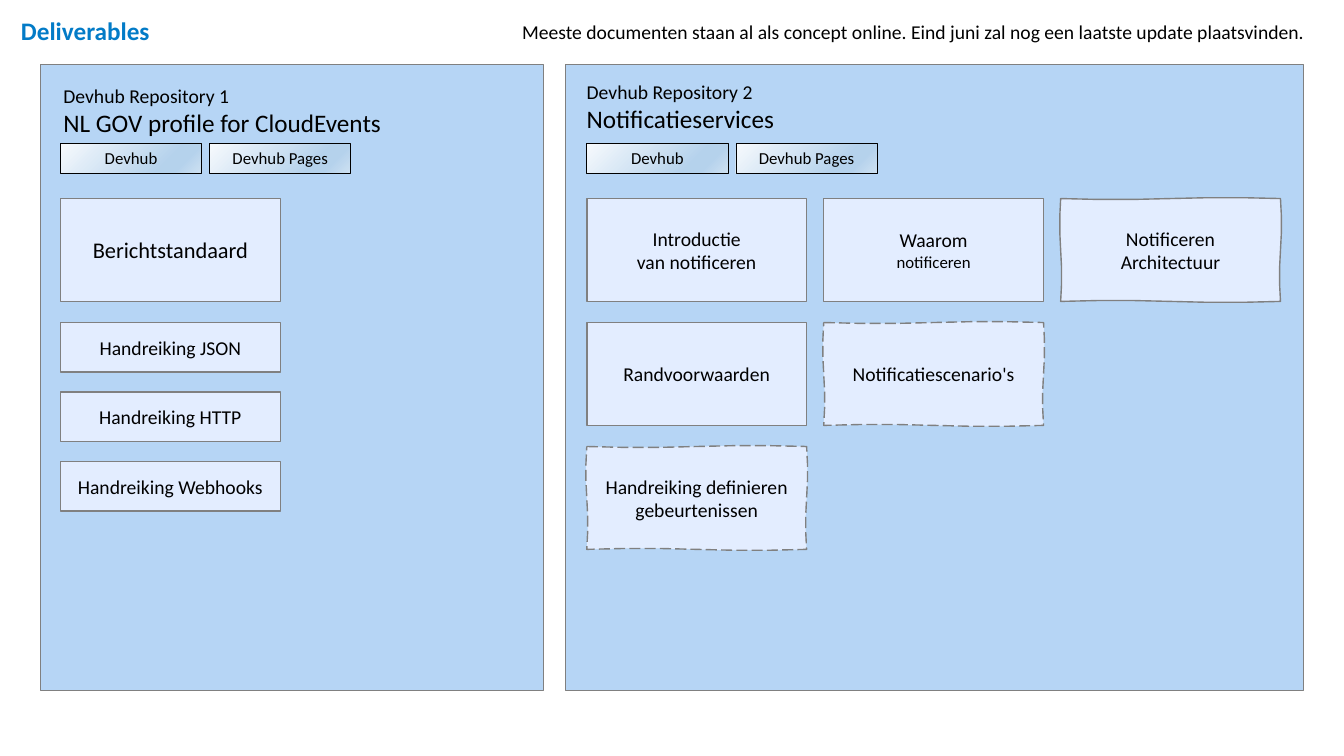
import math

from lxml import etree
from pptx import Presentation
from pptx.dml.color import RGBColor
from pptx.enum.dml import MSO_LINE
from pptx.enum.shapes import MSO_SHAPE
from pptx.enum.text import MSO_ANCHOR, MSO_AUTO_SIZE, PP_ALIGN
from pptx.oxml.ns import qn
from pptx.util import Inches, Pt

RECTANGLE = MSO_SHAPE.RECTANGLE
LONG_DASH = MSO_LINE.LONG_DASH
CENTER, LEFT = PP_ALIGN.CENTER, PP_ALIGN.LEFT
MIDDLE, TOP = MSO_ANCHOR.MIDDLE, MSO_ANCHOR.TOP
FIT_SHAPE = MSO_AUTO_SIZE.SHAPE_TO_FIT_TEXT

FONT = "Calibri"
COLORS = {"title": "027BC7", "text": "000000", "panel": "B6D5F5",
          "card": "E3EDFF", "border": "808080", "button_border": "000000"}
BUTTON_STOPS = [(0, "F7FAFD"), (74, "B5D2EC"), (83, "B5D2EC"), (100, "CEE1F2")]

# Text lines are (text, size in points)
TITLE = [("Deliverables", 18)]
NOTE = [("Meeste documenten staan al als concept online. "
         "Eind juni zal nog een laatste update plaatsvinden.", 14)]
BUTTONS = ["Devhub", "Devhub Pages"]

# Cards are (column, row, style, lines); guides are the short cards below them
REPOSITORIES = [
    {"panel": (0.4, 4.99), "grid_left": 0.6, "heading": (0.53, 0.78, 3.39),
     "lines": [("Devhub Repository 1", 14), ("NL GOV profile for CloudEvents", 18)],
     "cards": [(0, 0, "solid", [("Berichtstandaard", 16)])],
     "guides": ["Handreiking JSON", "Handreiking HTTP", "Handreiking Webhooks"]},
    {"panel": (5.61, 7.32), "grid_left": 5.82, "heading": (5.72, 0.74, 2.08),
     "lines": [("Devhub Repository 2", 14), ("Notificatieservices", 18)],
     "cards": [
         (0, 0, "solid", [("Introductie", 14), ("van notificeren", 14)]),
         (1, 0, "solid", [("Waarom", 14), ("notificeren", 12)]),
         (2, 0, "sketch", [("Notificeren", 14), ("Architectuur", 14)]),
         (0, 1, "solid", [("Randvoorwaarden", 14)]),
         (1, 1, "dashed sketch", [("Notificatiescenario's", 14)]),
         (0, 2, "dashed sketch", [("Handreiking definieren gebeurtenissen", 14)])],
     "guides": []},
]

PANEL_TOP, PANEL_HEIGHT = 0.64, 6.21
HEADING_HEIGHT = 0.64
BUTTON_TOP, BUTTON_WIDTH, BUTTON_HEIGHT, BUTTON_PITCH = 1.42, 1.4, 0.3, 1.48
GRID_TOP, COLUMN_PITCH, ROW_PITCH = 1.97, 2.35, 1.23
CARD_WIDTH, CARD_HEIGHT = 2.18, 1.02
GUIDE_HEIGHT, GUIDE_PITCH = 0.49, 0.69
WOBBLE, STEPS = 0.01, 6


def write(shape, lines, align=CENTER, anchor=MIDDLE, color="text", bold=False):
    frame = shape.text_frame
    frame.vertical_anchor = anchor
    for index, (text, size) in enumerate(lines):
        para = frame.add_paragraph() if index else frame.paragraphs[0]
        para.text = text
        para.alignment = align
        para.font.name = FONT
        para.font.size = Pt(size)
        para.font.bold = bold
        para.font.color.rgb = RGBColor.from_string(COLORS[color])


def add_label(page, left, top, width, height, lines, **style):
    box = page.shapes.add_textbox(*map(Inches, (left, top, width, height)))
    box.text_frame.word_wrap = False
    box.text_frame.auto_size = FIT_SHAPE
    write(box, lines, align=LEFT, anchor=TOP, **style)


def paint(shape, fill, border="border", width=1):
    shape.shadow.inherit = False
    if fill:
        shape.fill.solid()
        shape.fill.fore_color.rgb = RGBColor.from_string(COLORS[fill])
    shape.line.color.rgb = RGBColor.from_string(COLORS[border])
    shape.line.width = Pt(width)


def add_box(page, left, top, width, height, fill="card"):
    box = page.shapes.add_shape(RECTANGLE, *map(Inches, (left, top, width, height)))
    paint(box, fill)
    return box


def add_sketch(page, left, top, width, height):
    """Draw a rectangle with gently waving sides, as if by hand."""
    corners = [(left, top), (left + width, top),
               (left + width, top + height), (left, top + height)]
    points = []
    for side, (x, y) in enumerate(corners):
        next_x, next_y = corners[(side + 1) % 4]
        upright = side % 2
        for step in range(STEPS):
            share = step / STEPS
            wave = WOBBLE * math.sin(share * math.tau)
            points.append((Inches(x + (next_x - x) * share + wave * upright),
                           Inches(y + (next_y - y) * share + wave * (1 - upright))))
    builder = page.shapes.build_freeform(*points[0])
    builder.add_line_segments(points[1:], close=True)
    sketch = builder.convert_to_shape()
    paint(sketch, "card")
    return sketch


def add_button(page, left, label):
    button = page.shapes.add_shape(
        RECTANGLE, *map(Inches, (left, BUTTON_TOP, BUTTON_WIDTH, BUTTON_HEIGHT)))
    paint(button, None, "button_border", 0.5)
    button.fill.gradient()
    button.fill.gradient_angle = 315
    stops = button._element.spPr.find(qn("a:gradFill")).find(qn("a:gsLst"))
    for stop in list(stops):
        stops.remove(stop)
    for percent, color in BUTTON_STOPS:
        stop = etree.SubElement(stops, qn("a:gs"), pos=str(percent * 1000))
        etree.SubElement(stop, qn("a:srgbClr"), val=color)
    write(button, [(label, 12)])


def add_repository(page, repository):
    panel_left, panel_width = repository["panel"]
    grid_left = repository["grid_left"]
    add_box(page, panel_left, PANEL_TOP, panel_width, PANEL_HEIGHT, "panel")
    add_label(page, *repository["heading"], HEADING_HEIGHT, repository["lines"])
    for index, label in enumerate(BUTTONS):
        add_button(page, grid_left + index * BUTTON_PITCH, label)
    for column, row, style, lines in repository["cards"]:
        draw = add_box if style == "solid" else add_sketch
        card = draw(page, grid_left + column * COLUMN_PITCH,
                    GRID_TOP + row * ROW_PITCH, CARD_WIDTH, CARD_HEIGHT)
        if style == "dashed sketch":
            card.line.dash_style = LONG_DASH
        card.text_frame.word_wrap = True
        write(card, lines)
    for index, label in enumerate(repository["guides"]):
        top = GRID_TOP + ROW_PITCH + index * GUIDE_PITCH
        write(add_box(page, grid_left, top, CARD_WIDTH, GUIDE_HEIGHT), [(label, 14)])


def main():
    deck = Presentation()
    deck.slide_width, deck.slide_height = Inches(13.33), Inches(7.5)
    page = deck.slides.add_slide(deck.slide_layouts[6])
    for repository in REPOSITORIES:
        add_repository(page, repository)
    add_label(page, 5.08, 0.15, 8.04, 0.34, NOTE)
    add_label(page, 0.11, 0.1, 1.48, 0.4, TITLE, color="title", bold=True)
    deck.save("out.pptx")


if __name__ == "__main__":
    main()
